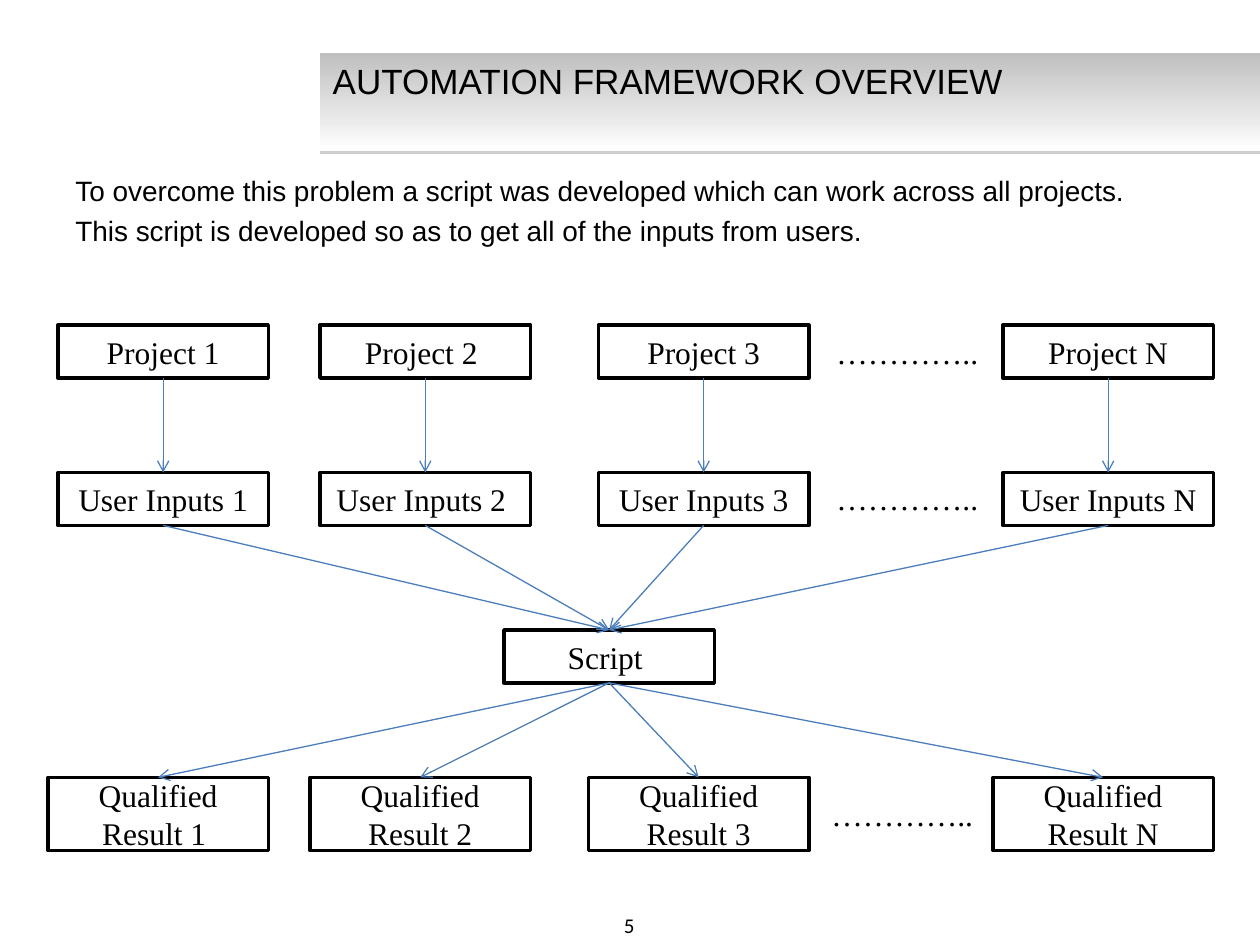
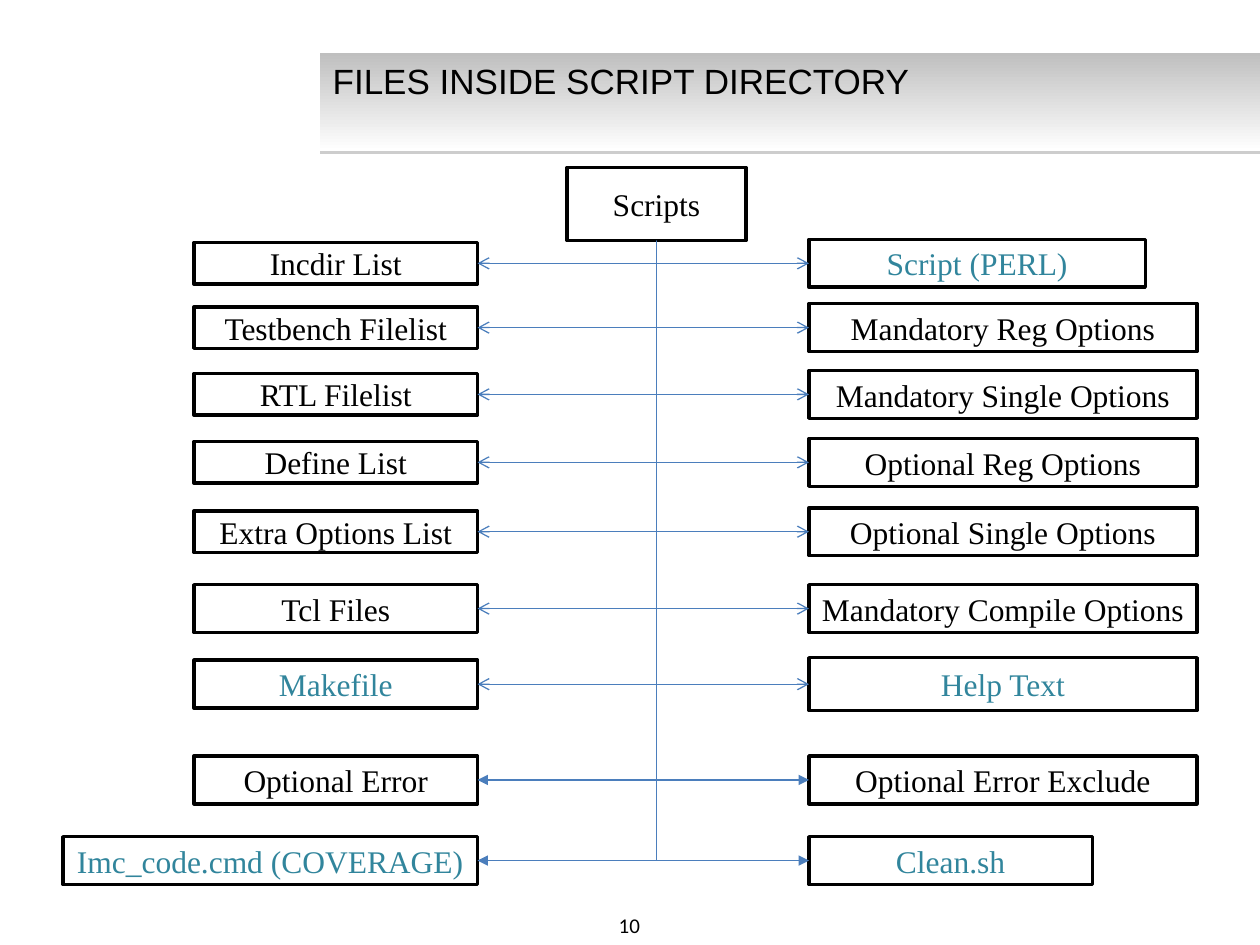
"""Build two slides that explain a script-based automation framework."""
from dataclasses import dataclass

import pptx
import pptx.dml.color
import pptx.enum.shapes
import pptx.enum.text
import pptx.oxml
import pptx.oxml.ns
import pptx.util
from pptx.util import Inches

COLOURS = {
    "text": "000000",
    "accent": "31859C",
    "paper": "FFFFFF",
    "band": "BFBFBF",
    "shadow": "808080",
    "arrow": "4B7EBC",
}
SANS, SERIF, NUMBER_FONT = "Arial", "Times New Roman", "Calibri"
NAMESPACE = pptx.oxml.ns.nsdecls("a")
TOP, LEFT, BOTTOM, RIGHT = range(4)
ALIGN = pptx.enum.text.PP_ALIGN
ANCHOR = pptx.enum.text.MSO_ANCHOR

COLUMN_RIGHTS = (2.13, 4.21, 6.42, 9.63)
DOTS = "………….."
LEFT_COLUMN_EDGE, RIGHT_COLUMN_EDGE = 3.79, 6.42


@dataclass(frozen=True)
class Box:
    text: str
    left: float
    top: float
    width: float
    height: float
    colour: str = "text"


@dataclass(frozen=True)
class ProjectRow:
    labels: tuple[str, ...]
    top: float
    width: float
    height: float
    dots_left: float
    dots_top: float


@dataclass(frozen=True)
class FileEntry:
    text: str
    width: float
    height: float
    colour: str = "text"


@dataclass(frozen=True)
class FileRow:
    centre: float
    left: FileEntry
    right: FileEntry
    arrowhead: str = "arrow"


PROJECTS = ProjectRow(("Project 1", "Project 2 ", "Project 3", "Project N"),
                      2.58, 1.67, 0.42, 6.54, 2.59)
INPUTS = ProjectRow(("User Inputs 1", "User Inputs 2 ", "User Inputs 3", "User Inputs N"),
                    3.75, 1.67, 0.42, 6.54, 3.75)
RESULTS = ProjectRow(("Qualified Result 1 ", "Qualified Result 2",
                      "Qualified Result 3", "Qualified Result N"),
                     6.17, 1.75, 0.58, 6.5, 6.26)

FILE_ROWS = (
    FileRow(2.09, FileEntry("Incdir List", 2.25, 0.33),
            FileEntry("Script (PERL)", 2.67, 0.38, "accent")),
    FileRow(2.6, FileEntry("Testbench Filelist", 2.25, 0.33),
            FileEntry("Mandatory Reg Options", 3.08, 0.38)),
    FileRow(3.13, FileEntry("RTL Filelist", 2.25, 0.33),
            FileEntry("Mandatory Single Options", 3.08, 0.38)),
    FileRow(3.67, FileEntry("Define List", 2.25, 0.33),
            FileEntry("Optional Reg Options", 3.08, 0.38)),
    FileRow(4.22, FileEntry("Extra Options List", 2.25, 0.33),
            FileEntry("Optional Single Options", 3.08, 0.38)),
    FileRow(4.83, FileEntry("Tcl Files", 2.25, 0.38),
            FileEntry("Mandatory Compile Options", 3.08, 0.38)),
    FileRow(5.43, FileEntry("Makefile", 2.25, 0.38, "accent"),
            FileEntry("Help Text", 3.08, 0.42, "accent")),
    FileRow(6.19, FileEntry("Optional Error", 2.25, 0.38),
            FileEntry("Optional Error Exclude", 3.08, 0.38), "triangle"),
    FileRow(6.83, FileEntry("Imc_code.cmd (COVERAGE)", 3.29, 0.38, "accent"),
            FileEntry("Clean.sh", 2.25, 0.38, "accent"), "triangle"),
)


def rgb(name: str) -> pptx.dml.color.RGBColor:
    return pptx.dml.color.RGBColor.from_string(COLOURS[name])


def format_text(text_frame, font_name: str, size: float, colour: str = "text",
                align=ALIGN.LEFT, anchor=ANCHOR.TOP) -> None:
    text_frame.word_wrap = True
    text_frame.vertical_anchor = anchor
    for paragraph in text_frame.paragraphs:
        paragraph.alignment = align
        for run in paragraph.runs:
            run.font.name = font_name
            run.font.size = pptx.util.Pt(size)
            run.font.color.rgb = rgb(colour)


def add_text(slide, box: Box, font_name: str, size: float, **layout):
    shape = slide.shapes.add_textbox(
        Inches(box.left), Inches(box.top), Inches(box.width), Inches(box.height))
    shape.text_frame.text = box.text
    format_text(shape.text_frame, font_name, size, box.colour, **layout)
    return shape


def add_box(slide, box: Box):
    shape = slide.shapes.add_shape(
        pptx.enum.shapes.MSO_SHAPE.RECTANGLE,
        Inches(box.left), Inches(box.top), Inches(box.width), Inches(box.height))
    shape.shadow.inherit = False
    shape.fill.solid()
    shape.fill.fore_color.rgb = rgb("paper")
    shape.line.color.rgb = rgb("text")
    shape.line.width = pptx.util.Pt(2)
    text_frame = shape.text_frame
    text_frame.text = box.text
    text_frame.margin_left = text_frame.margin_right = Inches(0.08)
    format_text(text_frame, SERIF, 18, box.colour, ALIGN.CENTER, ANCHOR.MIDDLE)
    return shape


def add_arrow(slide, start, start_site: int, end, end_site: int,
              kind=pptx.enum.shapes.MSO_CONNECTOR.STRAIGHT, arrowhead: str = "arrow"):
    connector = slide.shapes.add_connector(kind, 0, 0, 0, 0)
    connector.begin_connect(start, start_site)
    connector.end_connect(end, end_site)
    connector.line.color.rgb = rgb("arrow")
    connector.line.width = pptx.util.Pt(0.75)
    properties = connector._element.spPr
    properties.find(pptx.oxml.ns.qn("a:ln")).append(
        pptx.oxml.parse_xml(f'<a:tailEnd {NAMESPACE} type="{arrowhead}"/>'))
    properties.append(pptx.oxml.parse_xml(f"<a:effectLst {NAMESPACE}/>"))
    return connector


def add_branch(slide, trunk, target, target_site: int, arrowhead: str) -> None:
    connector = add_arrow(slide, trunk, BOTTOM, target, target_site,
                          pptx.enum.shapes.MSO_CONNECTOR.ELBOW, arrowhead)
    drop, reach = connector.height, connector.width
    middle_x = connector.left + reach // 2
    middle_y = connector.top + drop // 2
    connector.left, connector.top = middle_x - drop // 2, middle_y - reach // 2
    connector.width, connector.height = drop, reach
    goes_right = target_site == LEFT
    properties = connector._element.spPr
    transform = properties.find(pptx.oxml.ns.qn("a:xfrm"))
    transform.set("rot", str((270 if goes_right else 90) * 60000))
    transform.set("flipH", str(int(goes_right)))
    properties.find(pptx.oxml.ns.qn("a:prstGeom")).set("prst", "bentConnector2")


def add_band(slide) -> None:
    band = slide.shapes.add_shape(
        pptx.enum.shapes.MSO_SHAPE.RECTANGLE,
        Inches(2.54), Inches(0.42), Inches(7.46), Inches(0.78))
    band.shadow.inherit = False
    band.line.fill.background()
    band.fill.gradient()
    band.fill.gradient_angle = 270
    for stop, colour, position in zip(band.fill.gradient_stops, ("band", "paper"), (0, 1)):
        stop.color.rgb = rgb(colour)
        stop.position = position
    band._element.spPr.find(pptx.oxml.ns.qn("a:effectLst")).append(pptx.oxml.parse_xml(
        f'<a:outerShdw {NAMESPACE} blurRad="0" dist="{pptx.util.Pt(1.6)}" dir="5400000" '
        f'rotWithShape="0"><a:srgbClr val="{COLOURS["shadow"]}"><a:alpha val="38000"/>'
        "</a:srgbClr></a:outerShdw>"))
    slide.shapes._spTree.insert(2, band._element)


def add_titled_slide(presentation, title_text: str, number: int):
    slide = presentation.slides.add_slide(presentation.slide_layouts[5])
    add_band(slide)
    title = slide.shapes.title
    title.left, title.top = Inches(2.54), Inches(0.42)
    title.width, title.height = Inches(7.46), Inches(0.78)
    title.text_frame.text = title_text
    format_text(title.text_frame, SANS, 20)
    add_text(slide, Box(str(number), 3.83, 7.19, 2.33, 0.31), NUMBER_FONT, 12,
             align=ALIGN.CENTER, anchor=ANCHOR.MIDDLE)
    return slide


def add_project_row(slide, row: ProjectRow) -> list:
    add_text(slide, Box(DOTS, row.dots_left, row.dots_top, 1.36, 0.4), SERIF, 18)
    return [add_box(slide, Box(label, right - row.width, row.top, row.width, row.height))
            for label, right in zip(row.labels, COLUMN_RIGHTS)]


def build_overview(presentation) -> None:
    slide = add_titled_slide(presentation, "AUTOMATION FRAMEWORK OVERVIEW", 5)
    introduction = add_text(slide, Box(
        "To overcome this problem a script was developed which can work across all projects.\n"
        "This script is developed so as to get all of the inputs from users.",
        0.5, 1.33, 9, 0.83), SANS, 16)
    introduction.text_frame.paragraphs[1].space_before = pptx.util.Pt(3.7)
    projects, inputs, results = (
        add_project_row(slide, row) for row in (PROJECTS, INPUTS, RESULTS))
    script = add_box(slide, Box("Script ", 4, 5, 1.67, 0.42))
    for project, user_input, result in zip(projects, inputs, results):
        add_arrow(slide, project, BOTTOM, user_input, TOP)
        add_arrow(slide, user_input, BOTTOM, script, TOP)
        add_arrow(slide, script, BOTTOM, result, TOP)


def add_file(slide, entry: FileEntry, left: float, centre: float):
    return add_box(slide, Box(entry.text, left, centre - entry.height / 2,
                              entry.width, entry.height, entry.colour))


def build_directory(presentation) -> None:
    slide = add_titled_slide(presentation, "FILES INSIDE SCRIPT DIRECTORY", 10)
    scripts = add_box(slide, Box("Scripts", 4.5, 1.33, 1.42, 0.58))
    for row in FILE_ROWS:
        left_file = add_file(slide, row.left, LEFT_COLUMN_EDGE - row.left.width, row.centre)
        right_file = add_file(slide, row.right, RIGHT_COLUMN_EDGE, row.centre)
        add_branch(slide, scripts, right_file, LEFT, row.arrowhead)
        add_branch(slide, scripts, left_file, RIGHT, row.arrowhead)


def main() -> None:
    presentation = pptx.Presentation()
    presentation.slide_width, presentation.slide_height = Inches(10), Inches(7.5)
    build_overview(presentation)
    build_directory(presentation)
    presentation.save("out.pptx")


if __name__ == "__main__":
    main()
